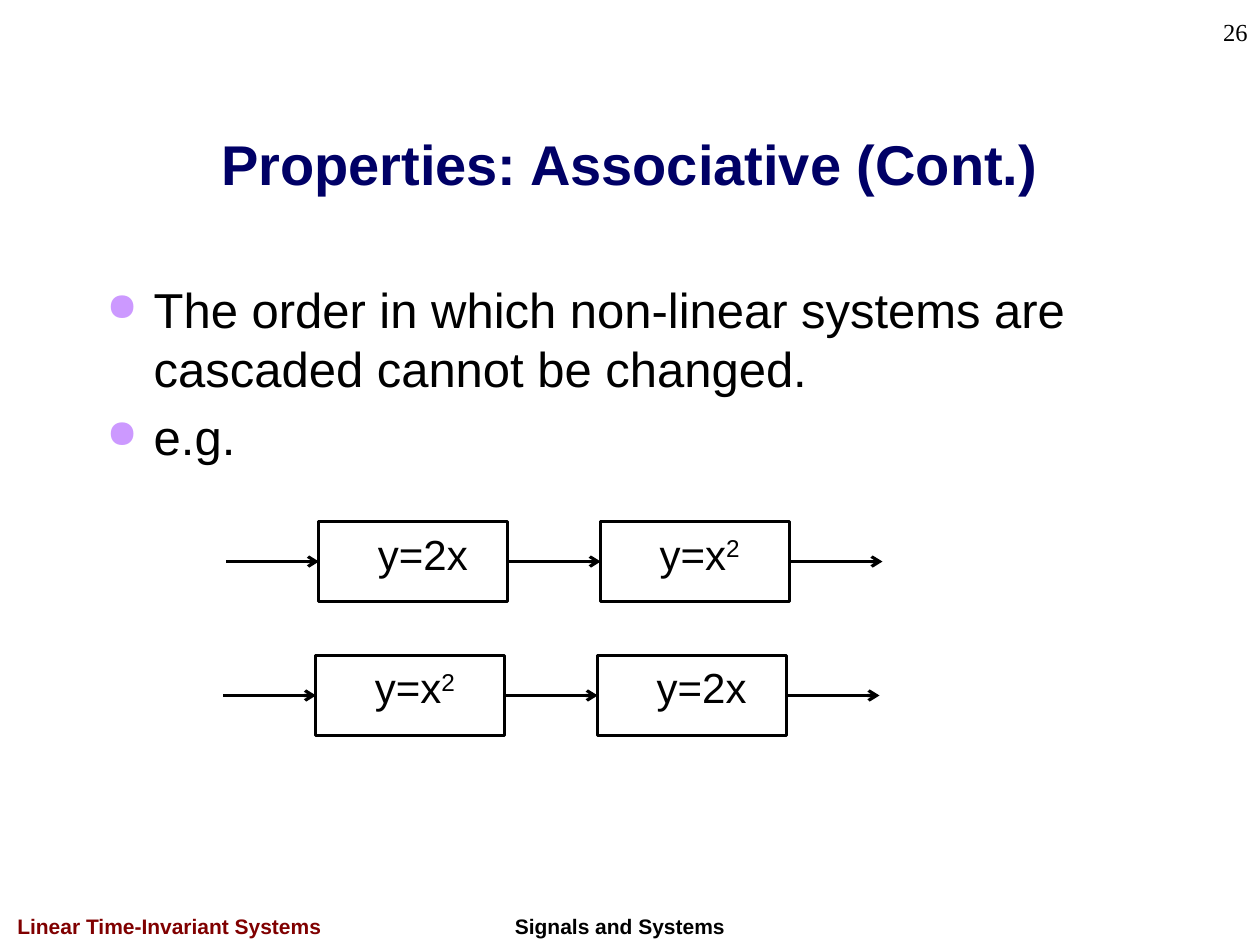
import dataclasses

import lxml.etree
import pptx
import pptx.dml.color
import pptx.enum.shapes
import pptx.enum.text
import pptx.oxml.ns
import pptx.util

Cm = pptx.util.Cm
Pt = pptx.util.Pt
ALIGN = pptx.enum.text.PP_ALIGN
ANCHOR = pptx.enum.text.MSO_ANCHOR
qn = pptx.oxml.ns.qn


@dataclasses.dataclass(frozen=True)
class Theme:
    """Colours, fonts and sizes of the slide."""
    ink: str = "000000"
    bullet: str = "CC99FF"
    line: float = 1.75
    title: tuple = ("Arial", 32, True, "000066")
    body: tuple = ("Arial", 28, False, "000000")
    system: tuple = ("Arial", 24, False, "000000")
    number: tuple = ("Times New Roman", 14, False, "000000")
    chapter: tuple = ("Arial", 12, True, "800000")
    course: tuple = ("Arial", 12, True, "000000")


THEME = Theme()


def rgb(value):
    """Return a colour from its hex value."""
    return pptx.dml.color.RGBColor.from_string(value)


def add_run(p, text, style):
    """Add a run of text in the given style."""
    name, size, bold, color = style
    r = p.add_run()
    r.text = text
    for key, value in {"name": name, "size": Pt(size), "bold": bold}.items():
        setattr(r.font, key, value)
    r.font.color.rgb = rgb(color)
    return r


def format_frame(tf, **values):
    """Set the attributes of a text frame."""
    for key, value in values.items():
        setattr(tf, key, value)


def place_title(s, box, text):
    """Move and fill the title placeholder."""
    sp = s.shapes.title
    for key, value in zip(("left", "top", "width", "height"), box):
        setattr(sp, key, Cm(value))
    format_frame(sp.text_frame, vertical_anchor=ANCHOR.MIDDLE,
                 auto_size=pptx.enum.text.MSO_AUTO_SIZE.NONE)
    p = sp.text_frame.paragraphs[0]
    p.alignment = ALIGN.CENTER
    add_run(p, text, THEME.title)


def add_label(s, box, text, style, align=ALIGN.LEFT, anchor=ANCHOR.TOP):
    """Add a single line of text."""
    tf = s.shapes.add_textbox(*map(Cm, box)).text_frame
    format_frame(tf, word_wrap=True, vertical_anchor=anchor)
    p = tf.paragraphs[0]
    p.alignment = align
    add_run(p, text, style)


def add_bullets(s, box, items):
    """Add a bulleted list."""
    tf = s.shapes.add_textbox(*map(Cm, box)).text_frame
    tf.word_wrap = True
    for i, text in enumerate(items):
        p = tf.add_paragraph() if i else tf.paragraphs[0]
        pPr = p._p.get_or_add_pPr()
        pPr.set("marL", str(Cm(0.95)))
        pPr.set("indent", str(-Cm(0.95)))
        color = lxml.etree.SubElement(pPr, qn("a:buClr"))
        lxml.etree.SubElement(color, qn("a:srgbClr"), val=THEME.bullet)
        lxml.etree.SubElement(pPr, qn("a:buSzPct"), val="80000")
        lxml.etree.SubElement(pPr, qn("a:buChar"), char="●")
        if i:
            p.space_before = Pt(5.6)
        add_run(p, text, THEME.body)


def add_system(s, box, text, power):
    """Add a system block with its equation."""
    sp = s.shapes.add_shape(pptx.enum.shapes.MSO_SHAPE.RECTANGLE, *map(Cm, box))
    sp.shadow.inherit = False
    sp.fill.background()
    sp.line.color.rgb = rgb(THEME.ink)
    sp.line.width = Pt(THEME.line)
    format_frame(sp.text_frame, word_wrap=True, margin_left=Cm(1.19),
                 margin_right=0, vertical_anchor=ANCHOR.TOP)
    p = sp.text_frame.paragraphs[0]
    p.alignment = ALIGN.LEFT
    add_run(p, text, THEME.system)
    if power:
        r = add_run(p, power, THEME.system)
        r._r.get_or_add_rPr().set("baseline", "30000")
    return sp


def add_arrow(s, x1, x2, y, source=None, target=None):
    """Add a horizontal arrow, joined to the blocks it touches."""
    c = s.shapes.add_connector(pptx.enum.shapes.MSO_CONNECTOR.STRAIGHT,
                               Cm(x1), Cm(y), Cm(x2), Cm(y))
    c.line.color.rgb = rgb(THEME.ink)
    c.line.width = Pt(THEME.line)
    lxml.etree.SubElement(c.line._get_or_add_ln(), qn("a:tailEnd"), type="arrow")
    lxml.etree.SubElement(c._element.spPr, qn("a:effectLst"))
    if source is not None:
        c.begin_connect(source, 3)
    if target is not None:
        c.end_connect(target, 1)


def add_cascade(s, box, systems, lead=1.87):
    """Add a row of blocks with arrows before, between and after them."""
    left, top, width, height = box
    block = (width - lead * (len(systems) + 1)) / len(systems)
    pitch = block + lead
    blocks = [add_system(s, (left + lead + i * pitch, top, block, height), *system)
              for i, system in enumerate(systems)]
    for i, (source, target) in enumerate(zip([None] + blocks, blocks + [None])):
        x = left + i * pitch
        add_arrow(s, x, x + lead, top + height / 2, source, target)


def main():
    """Build the slide and save it."""
    prs = pptx.Presentation()
    prs.slide_width, prs.slide_height = Cm(25.4), Cm(19.05)
    s = prs.slides.add_slide(prs.slide_layouts[5])
    add_label(s, (0.1, 18.29, 8, 0.76), "Linear Time-Invariant Systems", THEME.chapter)
    add_label(s, (10.13, 18.29, 5, 0.76), "Signals and Systems", THEME.course)
    place_title(s, (1.9, 1.7, 21.59, 3.18), "Properties: Associative (Cont.)")
    add_bullets(s, (1.9, 5.51, 21.59, 11.18), [
        "The order in which non-linear systems are cascaded cannot be changed.",
        "e.g."])
    add_label(s, (20.12, 0, 5.28, 1.27), "26", THEME.number, ALIGN.RIGHT, ANCHOR.MIDDLE)
    double, square = ("y=2x", ""), ("y=x", "2")
    add_cascade(s, (4.56, 10.52, 13.23, 1.6), [double, square])
    add_cascade(s, (4.5, 13.22, 13.23, 1.6), [square, double])
    prs.save("out.pptx")


if __name__ == "__main__":
    main()
